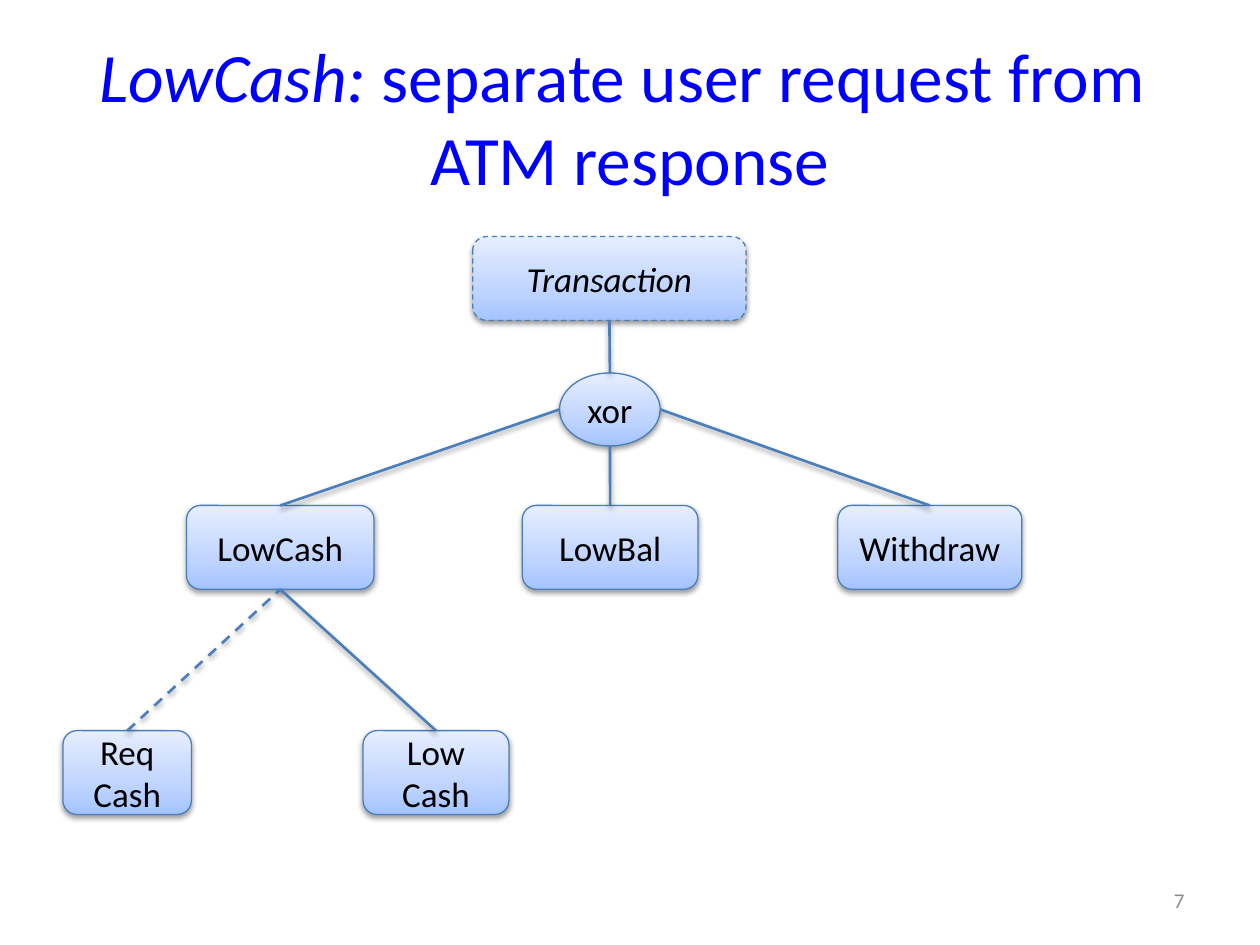
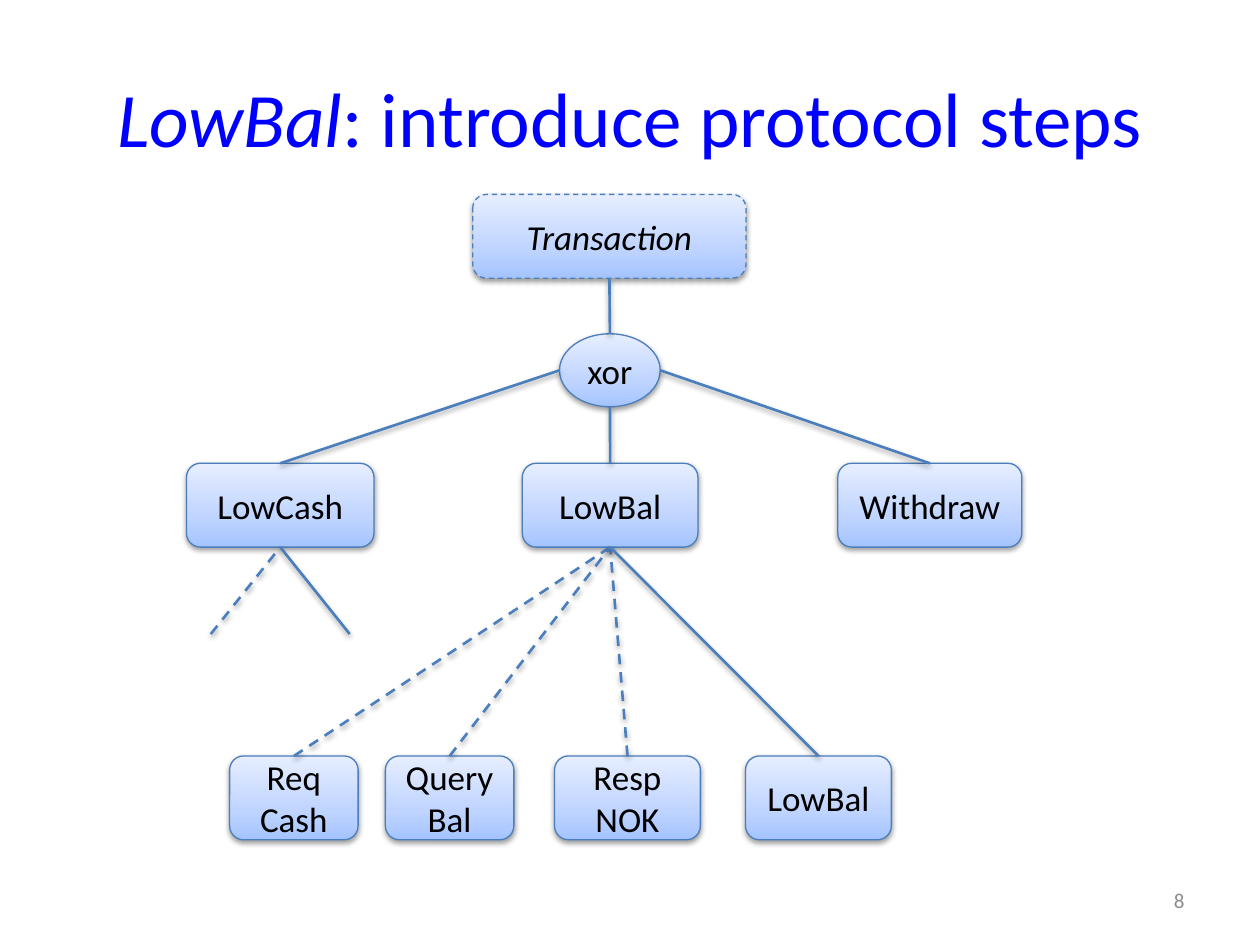
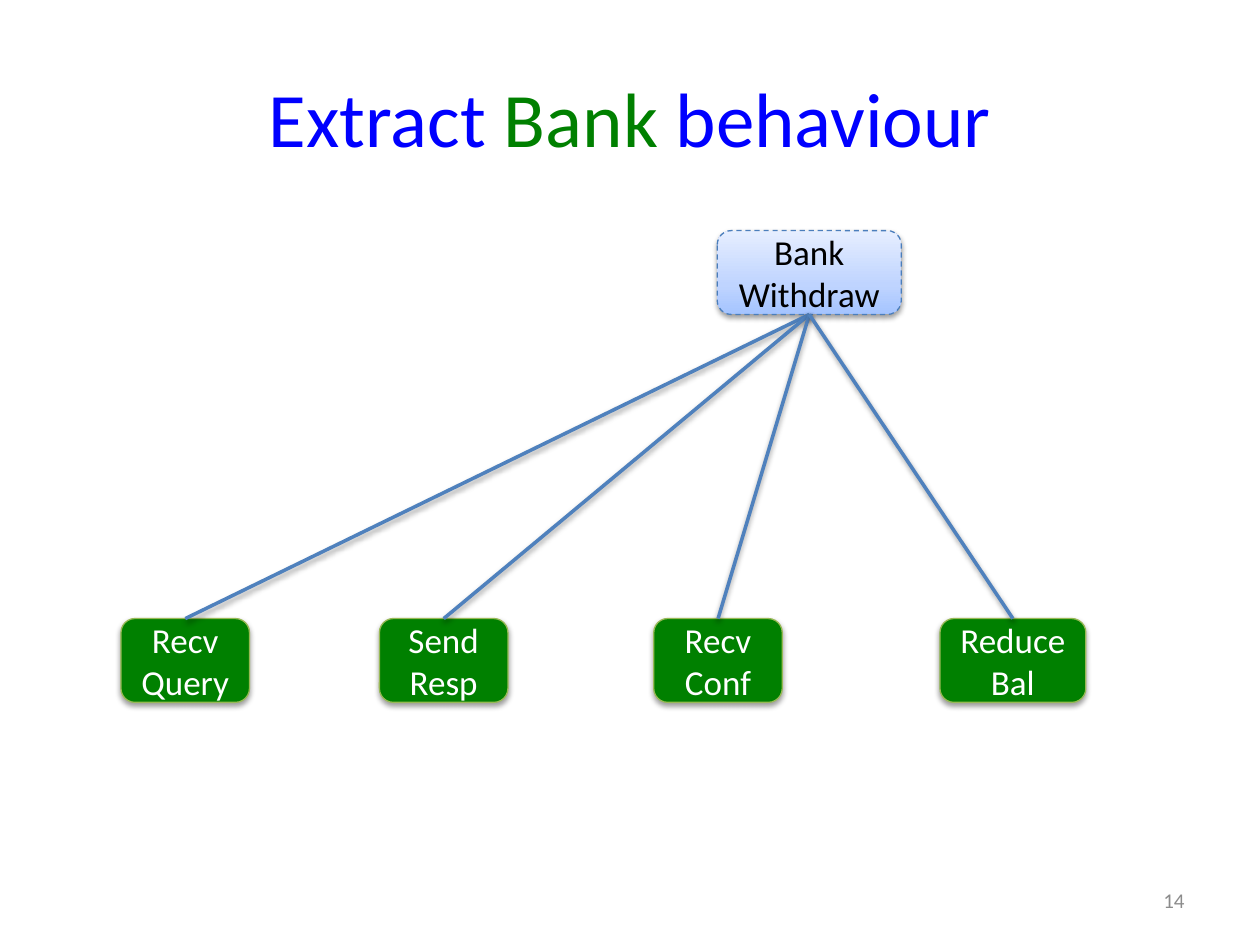
from copy import deepcopy
from dataclasses import dataclass

from lxml import etree
from pptx import Presentation
from pptx.dml.color import RGBColor
from pptx.enum.dml import MSO_LINE
from pptx.enum.shapes import MSO_CONNECTOR, MSO_SHAPE
from pptx.enum.text import MSO_ANCHOR, MSO_AUTO_SIZE, PP_ALIGN
from pptx.oxml.ns import qn
from pptx.slide import Slide
from pptx.util import Cm, Pt

ROUNDED = MSO_SHAPE.ROUNDED_RECTANGLE
ELLIPSE = MSO_SHAPE.OVAL
STRAIGHT = MSO_CONNECTOR.STRAIGHT
DASH = MSO_LINE.DASH
MIDDLE = MSO_ANCHOR.MIDDLE
CENTER = PP_ALIGN.CENTER
RIGHT = PP_ALIGN.RIGHT
NO_AUTOFIT = MSO_AUTO_SIZE.NONE
TITLE_ONLY = 5


@dataclass(frozen=True)
class Theme:
    font: str = "Calibri"
    title_color: str = "0000FF"
    bank_color: str = "008000"
    bank_outline: str = "98B955"
    bank_text: str = "FFFFFF"
    node_text: str = "000000"
    node_outline: str = "4B7EBC"
    bank_link: str = "4F81BD"
    page_color: str = "8C8C8C"
    node_gradient: tuple[tuple[float, str], ...] = (
        (0, "A4C4FF"), (0.35, "BFD4FF"), (1, "E6EEFF"))
    title_size: float = 44
    long_title_size: float = 39.6
    node_size: float = 20
    page_size: float = 12
    outline_width: float = 0.75
    link_width: float = 1.5
    bank_link_width: float = 2


THEME = Theme()
NODE_HEIGHT = 1.69
NARROW, WIDE, WITHDRAW_WIDTH = 2.59, 2.94, 3.71


@dataclass(frozen=True)
class Span:
    text: str
    italic: bool = False
    color: str = THEME.title_color
    starts_line: bool = False


@dataclass(frozen=True)
class Node:
    text: str
    left: float
    top: float
    width: float
    height: float = NODE_HEIGHT
    kind: MSO_SHAPE = ROUNDED
    dashed: bool = False
    italic: bool = False
    bank: bool = False

    @property
    def center(self) -> float:
        return self.left + self.width / 2

    @property
    def middle(self) -> float:
        return self.top + self.height / 2

    @property
    def head(self) -> tuple[float, float]:
        return self.center, self.top

    @property
    def foot(self) -> tuple[float, float]:
        return self.center, self.top + self.height


@dataclass(frozen=True)
class Link:
    start: tuple[float, float]
    end: tuple[float, float]
    dashed: bool = False
    color: str = THEME.node_outline
    width: float = THEME.link_width


@dataclass(frozen=True)
class Tree:
    nodes: list[Node]
    links: list[Link]
    low_cash: Node
    low_bal: Node


def rgb(color: str) -> RGBColor:
    return RGBColor.from_string(color)


def style_font(font, size: float, color: str, italic: bool = False) -> None:
    font.name = THEME.font
    font.size = Pt(size)
    font.italic = italic
    font.color.rgb = rgb(color)


def style_line(line, color: str, width: float, dashed: bool) -> None:
    line.color.rgb = rgb(color)
    line.width = Pt(width)
    if dashed:
        line.dash_style = DASH


def add_shadow(properties) -> None:
    effects = etree.SubElement(properties, qn("a:effectLst"))
    shadow = etree.SubElement(effects, qn("a:outerShdw"), blurRad="40000",
                              dist="20000", dir="5400000", rotWithShape="0")
    color = etree.SubElement(shadow, qn("a:srgbClr"), val="000000")
    etree.SubElement(color, qn("a:alpha"), val="38000")


def fill_gradient(shape) -> None:
    shape.fill.gradient()
    shape.fill.gradient_angle = 90
    stops = shape.element.spPr.find(qn("a:gradFill")).find(qn("a:gsLst"))
    stops.insert(1, deepcopy(stops[0]))
    for stop, (position, color) in zip(shape.fill.gradient_stops, THEME.node_gradient):
        stop.position = position
        stop.color.rgb = rgb(color)


def add_node(slide: Slide, node: Node) -> None:
    shape = slide.shapes.add_shape(node.kind, Cm(node.left), Cm(node.top),
                                   Cm(node.width), Cm(node.height))
    if node.bank:
        shape.fill.solid()
        shape.fill.fore_color.rgb = rgb(THEME.bank_color)
    else:
        fill_gradient(shape)
    outline = THEME.bank_outline if node.bank else THEME.node_outline
    style_line(shape.line, outline, THEME.outline_width, node.dashed)
    add_shadow(shape.element.spPr)
    frame = shape.text_frame
    frame.word_wrap = True
    frame.vertical_anchor = MIDDLE
    frame.text = node.text
    color = THEME.bank_text if node.bank else THEME.node_text
    for paragraph in frame.paragraphs:
        paragraph.alignment = CENTER
        for run in paragraph.runs:
            style_font(run.font, THEME.node_size, color, node.italic)


def add_link(slide: Slide, link: Link) -> None:
    connector = slide.shapes.add_connector(STRAIGHT, *map(Cm, link.start + link.end))
    style_line(connector.line, link.color, link.width, link.dashed)
    add_shadow(connector.element.spPr)


def add_title(slide: Slide, spans: list[Span], size: float) -> None:
    title = slide.shapes.title
    title.left, title.top, title.width, title.height = map(Cm, (1.27, 0.76, 22.86, 3.18))
    frame = title.text_frame
    frame.auto_size = NO_AUTOFIT
    frame.vertical_anchor = MIDDLE
    paragraph = frame.paragraphs[0]
    paragraph.alignment = CENTER
    for span in spans:
        if span.starts_line:
            paragraph.add_line_break()
        run = paragraph.add_run()
        run.text = span.text
        style_font(run.font, size, span.color, span.italic)


def add_page_number(slide: Slide, number: int) -> None:
    box = slide.shapes.add_textbox(Cm(18.21), Cm(17.65), Cm(5.92), Cm(1.01))
    frame = box.text_frame
    frame.word_wrap = True
    frame.vertical_anchor = MIDDLE
    frame.text = str(number)
    paragraph = frame.paragraphs[0]
    paragraph.alignment = RIGHT
    style_font(paragraph.runs[0].font, THEME.page_size, THEME.page_color)


def add_diagram_slide(presentation, title: list[Span], number: int, nodes: list[Node],
                      links: list[Link], title_size: float = THEME.title_size) -> None:
    slide = presentation.slides.add_slide(presentation.slide_layouts[TITLE_ONLY])
    add_title(slide, title, title_size)
    for node in nodes:
        add_node(slide, node)
    for link in links:
        add_link(slide, link)
    add_page_number(slide, number)


def transaction_tree(top: float, xor_top: float) -> Tree:
    row = top + 5.42
    transaction = Node("Transaction", 9.53, top, 5.51, dashed=True, italic=True)
    xor = Node("xor", 11.28, xor_top, 2.03, 1.47, ELLIPSE)
    low_cash = Node("LowCash", 3.76, row, 3.78)
    low_bal = Node("LowBal", 10.53, row, 3.54)
    withdraw = Node("Withdraw", 16.89, row, WITHDRAW_WIDTH)
    links = [
        Link(transaction.foot, xor.head),
        Link((xor.left, xor.middle), low_cash.head),
        Link(xor.foot, low_bal.head),
        Link((xor.left + xor.width, xor.middle), withdraw.head),
    ]
    return Tree([transaction, xor, low_cash, low_bal, withdraw], links, low_cash, low_bal)


def add_low_cash_slide(presentation) -> None:
    tree = transaction_tree(4.77, 7.52)
    request = Node("Req\nCash", 1.27, 14.73, NARROW)
    response = Node("Low\nCash", 7.32, 14.73, WIDE)
    links = [Link(request.head, tree.low_cash.foot, dashed=True),
             Link(response.head, tree.low_cash.foot)]
    title = [Span("LowCash: ", italic=True), Span("separate user request from "),
             Span("ATM response", starts_line=True)]
    add_diagram_slide(presentation, title, 7, tree.nodes + [request, response],
                      tree.links + links, THEME.long_title_size)


def add_low_bal_slide(presentation) -> None:
    tree = transaction_tree(3.92, 6.73)
    steps = [Node(text, left, 15.24, width) for text, left, width in (
        ("Req\nCash", 4.63, NARROW), ("Query\nBal", 7.77, NARROW),
        ("Resp\nNOK", 11.18, WIDE), ("LowBal", 15.03, WIDE))]
    links = [Link(step.head, tree.low_bal.foot, dashed=step is not steps[-1])
             for step in steps]
    x, y = tree.low_cash.foot
    stubs = [Link((x + shift, y + 1.75), (x, y), dashed=shift < 0)
             for shift in (-1.4, 1.4)]
    title = [Span("LowBal", italic=True), Span(": introduce protocol steps")]
    add_diagram_slide(presentation, title, 8, tree.nodes + steps,
                      tree.links + stubs + links)


def add_bank_slide(presentation) -> None:
    bank = Node("Bank\nWithdraw", 14.46, 4.65, WITHDRAW_WIDTH, dashed=True)
    steps = [Node(text, left, 12.47, width, bank=True) for text, left, width in (
        ("Recv\nQuery", 2.44, NARROW), ("Send Resp", 7.65, NARROW),
        ("Recv Conf", 13.18, NARROW), ("Reduce\nBal", 18.95, WIDE))]
    links = [Link(step.head, bank.foot, color=THEME.bank_link, width=THEME.bank_link_width)
             for step in steps]
    title = [Span("Extract "), Span("Bank ", color=THEME.bank_color), Span("behaviour")]
    add_diagram_slide(presentation, title, 14, [bank] + steps, links)


def main() -> None:
    presentation = Presentation()
    presentation.slide_width = Cm(25.4)
    presentation.slide_height = Cm(19.05)
    add_low_cash_slide(presentation)
    add_low_bal_slide(presentation)
    add_bank_slide(presentation)
    presentation.save("out.pptx")


if __name__ == "__main__":
    main()
